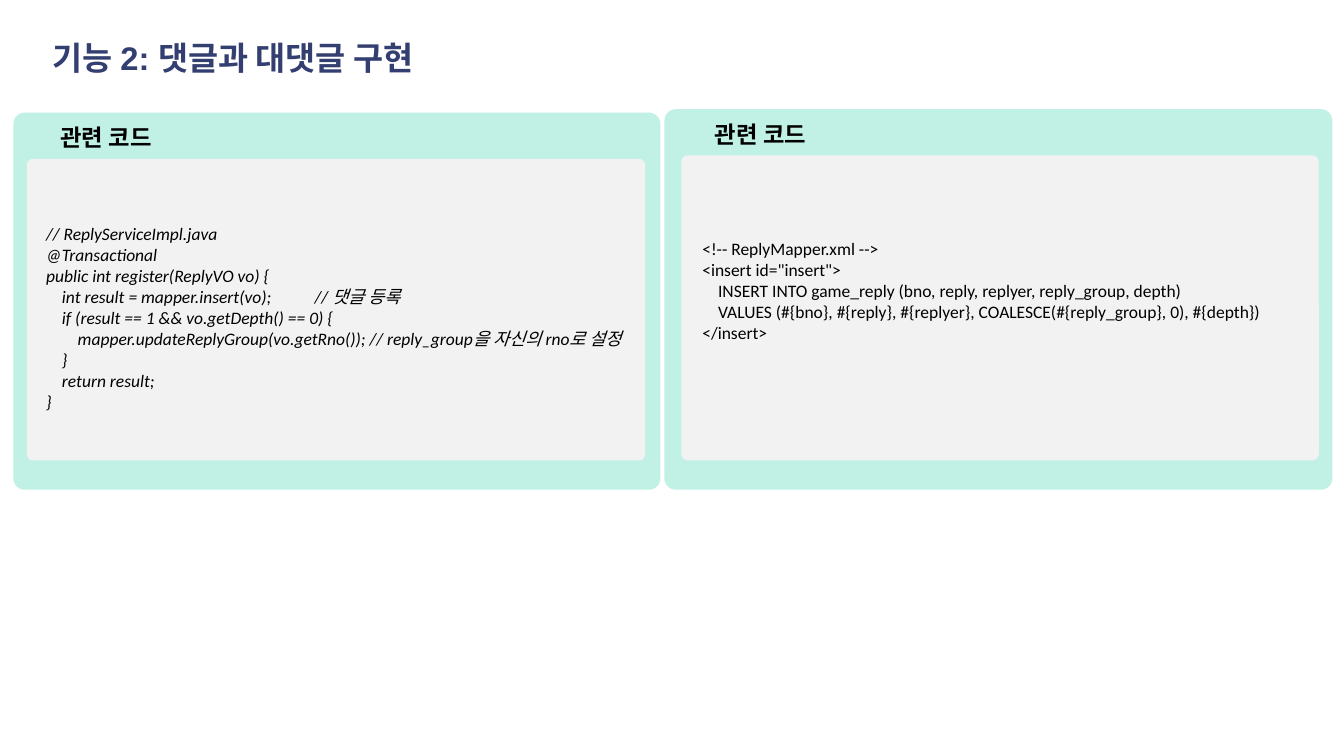
from dataclasses import dataclass

from pptx import Presentation
from pptx.dml.color import RGBColor
from pptx.enum.shapes import MSO_SHAPE
from pptx.util import Pt

TITLE = "기능 2: 댓글과 대댓글 구현"
HEADING = "관련 코드"

SERVICE_CODE = """\
// ReplyServiceImpl.java
@Transactional
public int register(ReplyVO vo) {
    int result = mapper.insert(vo);           // 댓글 등록
    if (result == 1 && vo.getDepth() == 0) {
        mapper.updateReplyGroup(vo.getRno()); // reply_group을 자신의 rno로 설정
    }
    return result;
}"""

MAPPER_CODE = """\
<!-- ReplyMapper.xml -->
<insert id="insert">
    INSERT INTO game_reply (bno, reply, replyer, reply_group, depth)
    VALUES (#{bno}, #{reply}, #{replyer}, COALESCE(#{reply_group}, 0), #{depth})
</insert>"""

# Horizontal spans are (left, right) in points
PANELS = [
    dict(code=SERVICE_CODE, italic=True, top=96.5, panel=(11.5, 566),
         card=(23, 553), heading_left=51.8, code_left=39.6, code_top=190.8),
    dict(code=MAPPER_CODE, italic=False, top=93.6, panel=(569.5, 1142),
         card=(584, 1130.4), heading_left=612.7, code_left=602, code_top=204),
]
PANEL_BOTTOM, CARD_BOTTOM = 419.8, 394.6
HEADING_DROP, CARD_DROP = 15.8, 39.6


@dataclass(frozen=True)
class Theme:
    heading_font: str = "Arial"
    code_font: str = "Calibri"
    title_size: float = 28
    heading_size: float = 20
    code_size: float = 15
    title_color: str = "333F70"
    text_color: str = "000000"
    panel_color: str = "C1F1E5"
    card_color: str = "F2F2F2"


theme = Theme()


def add_rounded(slide, span, top, bottom, color, rounding):
    left, right = span
    block = slide.shapes.add_shape(MSO_SHAPE.ROUNDED_RECTANGLE, Pt(left), Pt(top),
                                   Pt(right - left), Pt(bottom - top))
    block.adjustments[0] = rounding
    block.shadow.inherit = False
    block.fill.solid()
    block.fill.fore_color.rgb = RGBColor.from_string(color)
    block.line.fill.background()


def add_text(slide, text, left, top, width, height, font_name, size, color,
             bold=False, italic=False, line_height=None):
    """Add an unwrapped text box without margins, one paragraph per line."""
    frame = slide.shapes.add_textbox(Pt(left), Pt(top), Pt(width), Pt(height)).text_frame
    frame.margin_left = frame.margin_right = frame.margin_top = frame.margin_bottom = 0
    frame.word_wrap = False
    frame.text = text
    for paragraph in frame.paragraphs:
        if line_height:
            paragraph.line_spacing = Pt(line_height)
        font = paragraph.font
        font.name, font.size = font_name, Pt(size)
        font.bold, font.italic = bold, italic
        font.color.rgb = RGBColor.from_string(color)


def add_code_panel(slide, code, italic, top, panel, card, heading_left, code_left, code_top):
    add_rounded(slide, panel, top, PANEL_BOTTOM, theme.panel_color, 0.03)
    add_text(slide, HEADING, heading_left, top + HEADING_DROP, 138, 20,
             theme.heading_font, theme.heading_size, theme.text_color,
             bold=True, line_height=17.5)
    add_rounded(slide, card, top + CARD_DROP, CARD_BOTTOM, theme.card_color, 0.02)
    add_text(slide, code, code_left, code_top, card[1] - code_left, CARD_BOTTOM - code_top,
             theme.code_font, theme.code_size, theme.text_color, italic=italic)


def main():
    presentation = Presentation()
    presentation.slide_width, presentation.slide_height = Pt(1152), Pt(648)
    slide = presentation.slides.add_slide(presentation.slide_layouts[6])
    add_text(slide, TITLE, 45.4, 31, 395, 35, theme.heading_font, theme.title_size,
             theme.title_color, bold=True, line_height=35)
    for content in PANELS:
        add_code_panel(slide, **content)
    presentation.save("out.pptx")


if __name__ == "__main__":
    main()
